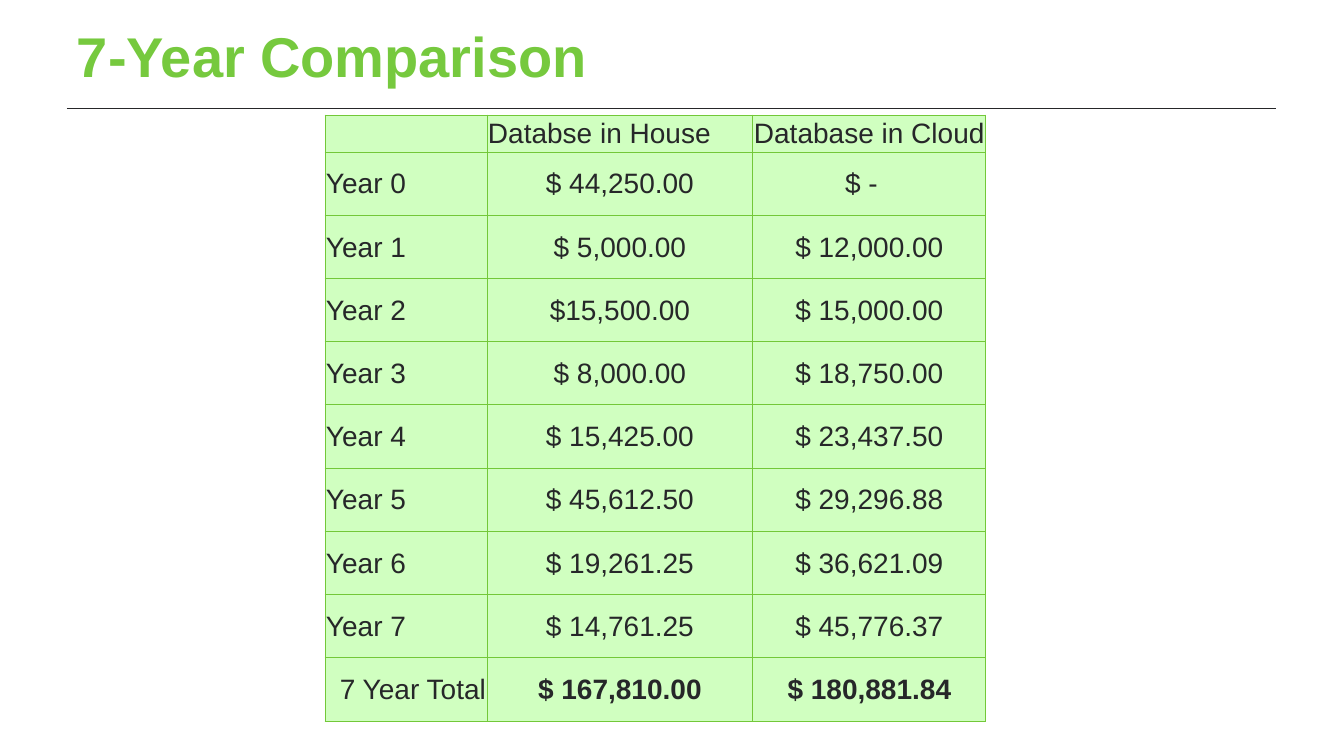
from lxml import etree
from pptx import Presentation
from pptx.dml.color import RGBColor
from pptx.enum.shapes import MSO_CONNECTOR
from pptx.enum.text import MSO_ANCHOR, PP_ALIGN
from pptx.oxml.ns import qn
from pptx.util import Pt

# Content
TITLE = "7-Year Comparison"
ROWS = [
    ("", "Databse in House", "Database in Cloud"),
    ("Year 0", "$ 44,250.00", "$ -"),
    ("Year 1", "$ 5,000.00", "$ 12,000.00"),
    ("Year 2", "$15,500.00", "$ 15,000.00"),
    ("Year 3", "$ 8,000.00", "$ 18,750.00"),
    ("Year 4", "$ 15,425.00", "$ 23,437.50"),
    ("Year 5", "$ 45,612.50", "$ 29,296.88"),
    ("Year 6", "$ 19,261.25", "$ 36,621.09"),
    ("Year 7", "$ 14,761.25", "$ 45,776.37"),
    ("7 Year Total", "$ 167,810.00", "$ 180,881.84"),
]
COLORS = {"title": "76C93E", "text": "262729", "border": "73C839", "cell": "D0FFC0"}
FONT = "Arial"

# Layout in px
SLIDE_W, SLIDE_H = 1344, 756
TITLE_BOX = (67, 1, 1210, 109)
RULE = (67, 109, 1276, 109)
TABLE_X, TABLE_Y = 325, 115
COL_W = (162, 266, 233)
HEAD_H, BODY_H = 37, 569
DASH_INSET = 17


def px(n):
    return round(n * 914400 / 100.8)


def rgb(name):
    return RGBColor.from_string(COLORS[name])


def put_text(tf, text, size=20, color="text", bold=False, align=PP_ALIGN.LEFT):
    p = tf.paragraphs[0]
    p.alignment = align
    r = p.add_run()
    r.text = text
    r.font.name, r.font.size, r.font.bold = FONT, Pt(size), bold
    r.font.color.rgb = rgb(color)


def add_borders(cell, color, width):
    tcPr = cell._tc.get_or_add_tcPr()
    for i, side in enumerate(("lnL", "lnR", "lnT", "lnB")):
        ln = etree.Element(qn(f"a:{side}"), w=str(Pt(width)))
        fill = etree.SubElement(ln, qn("a:solidFill"))
        etree.SubElement(fill, qn("a:srgbClr"), val=COLORS[color])
        tcPr.insert(i, ln)


prs = Presentation()
prs.slide_width, prs.slide_height = px(SLIDE_W), px(SLIDE_H)
s = prs.slides.add_slide(prs.slide_layouts[6])

# Rule under the title
rule = s.shapes.add_connector(MSO_CONNECTOR.STRAIGHT, *map(px, RULE))
rule.line.color.rgb = rgb("text")
rule.line.width = Pt(0.75)
etree.SubElement(rule._element.spPr, qn("a:effectLst"))

# Title
tf = s.shapes.add_textbox(*map(px, TITLE_BOX)).text_frame
tf.word_wrap = True
tf.vertical_anchor = MSO_ANCHOR.MIDDLE
tf.margin_left = tf.margin_right = tf.margin_top = tf.margin_bottom = px(10)
put_text(tf, TITLE, size=40, color="title", bold=True)

# Cost table
table = s.shapes.add_table(len(ROWS), len(COL_W), px(TABLE_X), px(TABLE_Y),
                           px(sum(COL_W)), px(HEAD_H + BODY_H)).table
table.first_row = table.horz_banding = False
for col, width in zip(table.columns, COL_W):
    col.width = px(width)

last = len(ROWS) - 1
for i, row in enumerate(ROWS):
    table.rows[i].height = px(BODY_H / last if i else HEAD_H)
    for j, text in enumerate(row):
        cell = table.cell(i, j)
        cell.fill.solid()
        cell.fill.fore_color.rgb = rgb("cell")
        add_borders(cell, "border", 0.75)
        cell.vertical_anchor = MSO_ANCHOR.MIDDLE
        cell.margin_left = cell.margin_right = cell.margin_top = px(1)
        cell.margin_bottom = 0
        if text == "$ -":
            cell.margin_right = px(DASH_INSET)
        amount = i > 0 and j > 0
        align = PP_ALIGN.CENTER if amount else PP_ALIGN.RIGHT if i == last else PP_ALIGN.LEFT
        if text:
            put_text(cell.text_frame, text, bold=amount and i == last, align=align)

prs.save("out.pptx")
